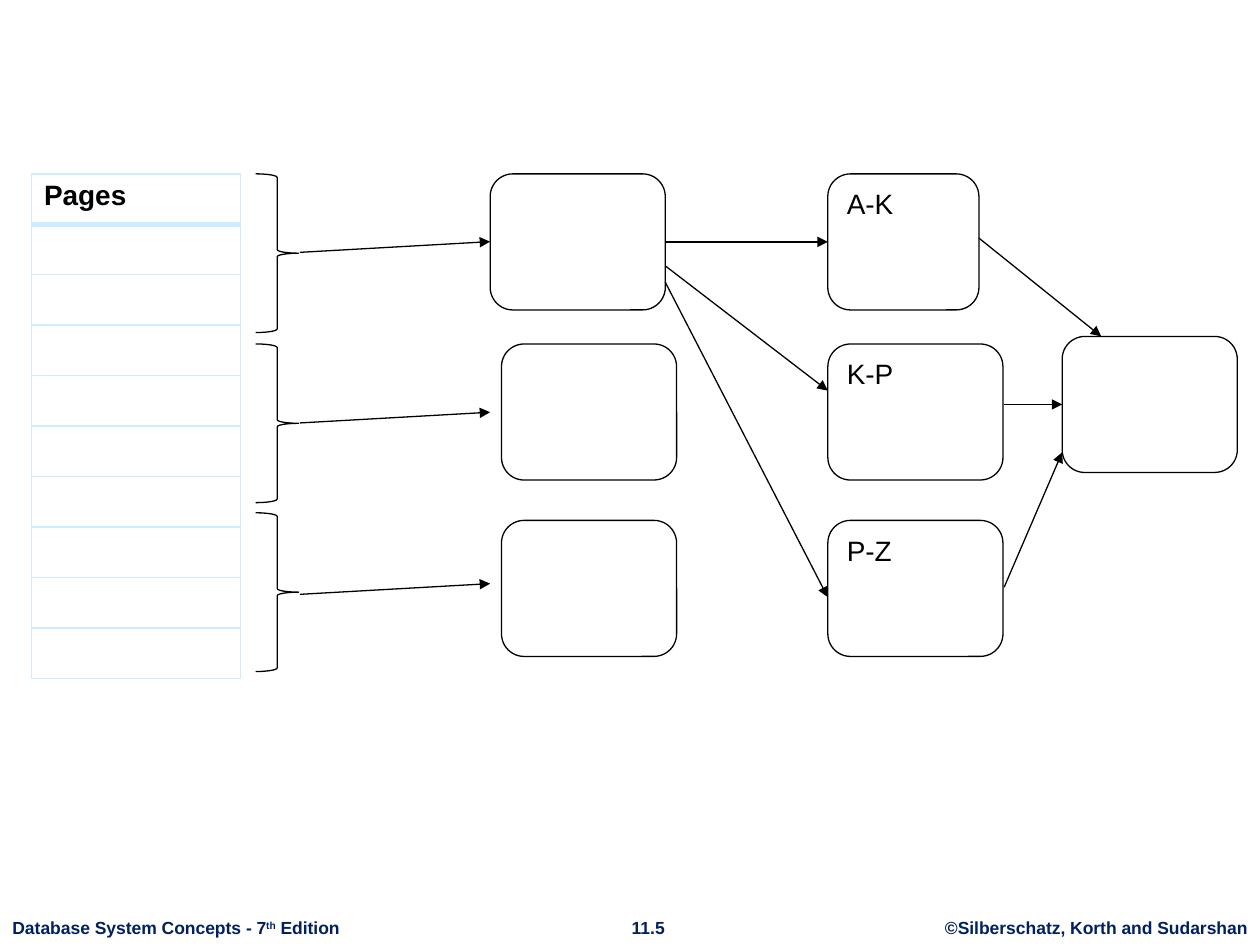
from dataclasses import dataclass

from lxml import etree
from pptx import Presentation
from pptx.dml.color import RGBColor
from pptx.enum.shapes import MSO_CONNECTOR, MSO_SHAPE
from pptx.enum.text import MSO_ANCHOR, PP_ALIGN
from pptx.oxml.ns import qn
from pptx.util import Inches, Pt

ROUND, BRACE = MSO_SHAPE.ROUNDED_RECTANGLE, MSO_SHAPE.RIGHT_BRACE
STRAIGHT, TOP = MSO_CONNECTOR.STRAIGHT, MSO_ANCHOR.TOP
LEFT, CENTER = PP_ALIGN.LEFT, PP_ALIGN.CENTER
SLIDE_W, SLIDE_H = Inches(10), Inches(7.5)
COLS, ROWS = 100, 75


@dataclass(frozen=True)
class Theme:
    font: str = "Arial"
    ink: str = "000000"
    paper: str = "FFFFFF"
    grid: str = "CCECFF"
    footer: str = "002060"
    body_size: int = 16
    footer_size: int = 10
    line: float = 0.75
    border: float = 1
    header_border: float = 3


@dataclass(frozen=True)
class Box:
    col: float
    row: float
    width: float = 13.9
    height: float = 10.8
    text: str = ""
    kind: int = ROUND


@dataclass(frozen=True)
class Arrow:
    col: float
    row: float
    end_col: float
    end_row: float


@dataclass(frozen=True)
class Footer:
    col: float
    width: float
    runs: tuple
    align: int = CENTER


THEME = Theme()
TIERS = (13.8, 27.3, 41.3)
BRACE_ROWS = (13.8, 27.3, 40.7)
PAGE_ROWS, PAGE_ROW_H = 10, 4

BRACES = [Box(20.3, row, 3.4, 12.6, kind=BRACE) for row in BRACE_ROWS]
WORKERS = [Box(col, row) for col, row in zip((38.9, 39.8, 39.8), TIERS)]
RANGES = [
    Box(65.7, row, width, text=text)
    for row, width, text in zip(TIERS, (12, 13.9, 13.9), ("A-K", "K-P", "P-Z"))
]
RESULT = Box(84.3, 26.7)
ARROWS = [Arrow(23.8, row, 38.9, row - 0.85) for row in (20.03, 33.57, 47.17)] + [
    Arrow(52.8, 19.2, 65.7, 19.2),
    Arrow(52.8, 21.1, 65.7, 31),
    Arrow(52.8, 22.4, 65.7, 47.4),
    Arrow(77.7, 18.9, 87.4, 26.7),
    Arrow(79.7, 32.1, 84.3, 32.1),
    Arrow(79.7, 46.6, 84.3, 35.9),
]
FOOTERS = [
    Footer(74, 26, ("©Silberschatz, Korth and Sudarshan",)),
    Footer(48.6, 5.7, ("11.5",)),
    Footer(0, 28.1, ("Database System Concepts - 7", "th", " Edition"), LEFT),
]


def x(col: float) -> int:
    return round(SLIDE_W * col / COLS)


def y(row: float) -> int:
    return round(SLIDE_H * row / ROWS)


def rgb(color: str) -> RGBColor:
    return RGBColor.from_string(color)


def add_run(p, text: str, *, size: float = THEME.body_size, color: str = THEME.ink,
            bold: bool = False, superscript: bool = False) -> None:
    r = p.add_run()
    r.text = text
    r.font.name, r.font.size, r.font.bold = THEME.font, Pt(size), bold
    r.font.color.rgb = rgb(color)
    if superscript:
        r.font._element.set("baseline", "30000")


def draw_box(s, box: Box) -> None:
    sp = s.shapes.add_shape(box.kind, x(box.col), y(box.row), x(box.width), y(box.height))
    sp.shadow.inherit = False
    sp.fill.solid()
    sp.fill.fore_color.rgb = rgb(THEME.paper)
    sp.line.color.rgb = rgb(THEME.ink)
    sp.line.width = Pt(THEME.line)
    if box.text:
        tf = sp.text_frame
        tf.word_wrap, tf.vertical_anchor = False, TOP
        p = tf.paragraphs[0]
        p.alignment = LEFT
        add_run(p, box.text)


def draw_arrow(s, arrow: Arrow) -> None:
    cx = s.shapes.add_connector(STRAIGHT, x(arrow.col), y(arrow.row),
                                x(arrow.end_col), y(arrow.end_row))
    cx.line.color.rgb = rgb(THEME.ink)
    cx.line.width = Pt(THEME.line)
    etree.SubElement(cx.line._get_or_add_ln(), qn("a:tailEnd"), type="triangle")
    etree.SubElement(cx._element.spPr, qn("a:effectLst"))


def draw_footer(s, footer: Footer) -> None:
    sp = s.shapes.add_textbox(x(footer.col), y(72.3), x(footer.width), y(2.7))
    tf = sp.text_frame
    tf.word_wrap = False
    p = tf.paragraphs[0]
    p.alignment = footer.align
    for text in footer.runs:
        add_run(p, text, size=THEME.footer_size, color=THEME.footer, bold=True,
                superscript=text == "th")


def set_border(cell, side: str, width: float) -> None:
    ln = etree.Element(qn(f"a:ln{side}"), w=str(Pt(width)))
    fill = etree.SubElement(ln, qn("a:solidFill"))
    etree.SubElement(fill, qn("a:srgbClr"), val=THEME.grid)
    cell._tc.get_or_add_tcPr().append(ln)


def draw_pages(s) -> None:
    frame = s.shapes.add_table(PAGE_ROWS, 1, x(2.5), y(13.8), x(16.6),
                               y(PAGE_ROWS * PAGE_ROW_H))
    table = frame.table
    table.horz_banding = False
    for i in range(PAGE_ROWS):
        cell = table.cell(i, 0)
        for side in "LRTB":
            thick = (i, side) in ((0, "B"), (1, "T"))
            set_border(cell, side, THEME.header_border if thick else THEME.border)
        cell.fill.solid()
        cell.fill.fore_color.rgb = rgb(THEME.paper)
    add_run(table.cell(0, 0).text_frame.paragraphs[0], "Pages", bold=True)


def main() -> None:
    prs = Presentation()
    prs.slide_width, prs.slide_height = SLIDE_W, SLIDE_H
    s = prs.slides.add_slide(prs.slide_layouts[6])
    for footer in FOOTERS:
        draw_footer(s, footer)
    draw_pages(s)
    for box in BRACES + WORKERS + RANGES + [RESULT]:
        draw_box(s, box)
    for arrow in ARROWS:
        draw_arrow(s, arrow)
    prs.save("out.pptx")


if __name__ == "__main__":
    main()
